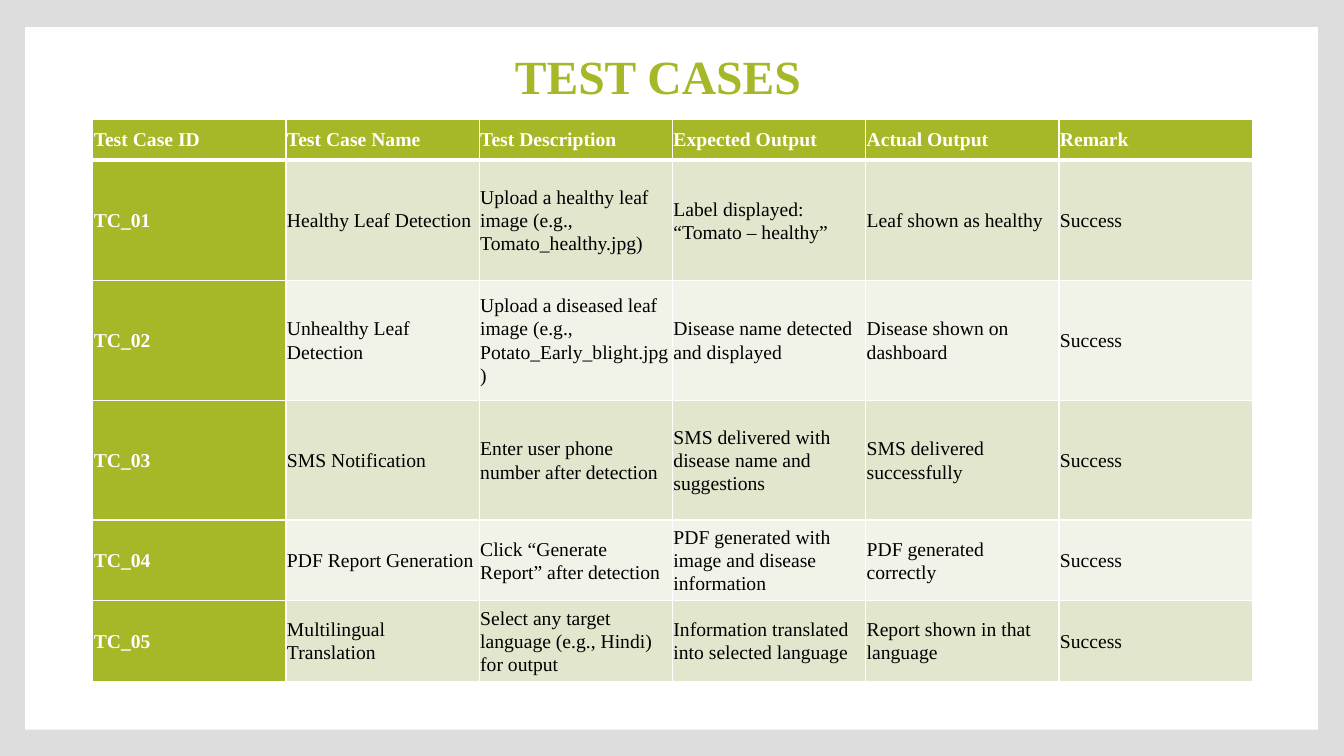
from lxml import etree
from pptx import Presentation
from pptx import util as u
from pptx.dml.color import RGBColor
from pptx.enum import shapes, text
from pptx.oxml.ns import qn

COLORS = {
    "backdrop": "DDDDDD",
    "panel": "FFFFFF",
    "accent": "A6B727",
    "band_dark": "E1E6CD",
    "band_light": "F1F3E8",
    "light_text": "FFFFFF",
    "dark_text": "000000",
    "grid": "FFFFFF",
}

HEADINGS = ["Test Case ID", "Test Case Name", "Test Description",
            "Expected Output", "Actual Output", "Remark"]
TEST_CASES = [
    ["TC_01", "Healthy Leaf Detection",
     "Upload a healthy leaf image (e.g., Tomato_healthy.jpg)",
     "Label displayed: “Tomato – healthy”", "Leaf shown as healthy", "Success"],
    ["TC_02", "Unhealthy Leaf Detection",
     "Upload a diseased leaf image (e.g., Potato_Early_blight.jpg)",
     "Disease name detected and displayed", "Disease shown on dashboard", "Success"],
    ["TC_03", "SMS Notification", "Enter user phone number after detection",
     "SMS delivered with disease name and suggestions",
     "SMS delivered successfully", "Success"],
    ["TC_04", "PDF Report Generation", "Click “Generate Report” after detection",
     "PDF generated with image and disease information",
     "PDF generated correctly", "Success"],
    ["TC_05", "Multilingual Translation",
     "Select any target language (e.g., Hindi) for output",
     "Information translated into selected language",
     "Report shown in that language", "Success"],
]
ROW_HEIGHTS = [0.41, 1.19, 1.19, 1.19, 0.8, 0.8]


def color(name):
    return RGBColor.from_string(COLORS[name])


class SlideBuilder:
    font_name = "Times New Roman"

    def __init__(self, slide):
        self.slide = slide

    def background(self, fill):
        self.slide.background.fill.solid()
        self.slide.background.fill.fore_color.rgb = color(fill)

    def panel(self, left, top, width, height, fill):
        panel = self.slide.shapes.add_shape(
            shapes.MSO_SHAPE.RECTANGLE, *map(u.Inches, (left, top, width, height)))
        panel.shadow.inherit = False
        panel.fill.solid()
        panel.fill.fore_color.rgb = color(fill)
        panel.line.fill.background()
        self.slide.shapes._spTree.insert(2, panel._element)

    def style(self, paragraph, size, font_color, bold):
        for run in paragraph.runs:
            run.font.name = self.font_name
            run.font.size = u.Pt(size)
            run.font.bold = bold
            run.font.color.rgb = color(font_color)

    def title(self, wording, left, top, width, height):
        title = self.slide.shapes.title
        title.left, title.top, title.width, title.height = map(
            u.Inches, (left, top, width, height))
        frame = title.text_frame
        frame.text = wording
        frame.word_wrap = True
        frame.auto_size = text.MSO_AUTO_SIZE.NONE
        frame.vertical_anchor = text.MSO_ANCHOR.MIDDLE
        frame.paragraphs[0].alignment = text.PP_ALIGN.CENTER
        self.style(frame.paragraphs[0], 34, "accent", True)

    def border(self, cell, side, width):
        line = etree.SubElement(cell._tc.get_or_add_tcPr(), qn(f"a:ln{side}"),
                                w=str(u.Pt(width)))
        fill = etree.SubElement(line, qn("a:solidFill"))
        etree.SubElement(fill, qn("a:srgbClr"), val=COLORS["grid"])

    def cell(self, cell, wording, fill, font_color, bold, top_line, bottom_line):
        cell.text = wording
        cell.vertical_anchor = text.MSO_ANCHOR.MIDDLE
        cell.margin_left = cell.margin_right = u.Inches(0.01)
        cell.margin_top = cell.margin_bottom = u.Inches(0.01)
        for side, width in zip("LRTB", (1, 1, top_line, bottom_line)):
            self.border(cell, side, width)
        cell.fill.solid()
        cell.fill.fore_color.rgb = color(fill)
        paragraph = cell.text_frame.paragraphs[0]
        paragraph.line_spacing = 1.07
        self.style(paragraph, 14, font_color, bold)

    def table(self, rows, row_heights, left, top, width):
        table = self.slide.shapes.add_table(
            len(rows), len(rows[0]), u.Inches(left), u.Inches(top),
            u.Inches(width), u.Inches(sum(row_heights))).table
        table.first_col = True
        for row, height in zip(table.rows, row_heights):
            row.height = u.Inches(height)
        for r, row in enumerate(rows):
            band = "band_dark" if r % 2 else "band_light"
            for c, wording in enumerate(row):
                heading = r == 0 or c == 0
                self.cell(table.cell(r, c), wording,
                          fill="accent" if heading else band,
                          font_color="light_text" if heading else "dark_text",
                          bold=heading,
                          top_line=3 if r == 1 else 1,
                          bottom_line=3 if r == 0 else 1)


def main():
    deck = Presentation()
    deck.slide_width, deck.slide_height = u.Inches(13.33), u.Inches(7.5)
    builder = SlideBuilder(deck.slides.add_slide(deck.slide_layouts[5]))
    builder.background("backdrop")
    builder.panel(0.25, 0.27, 12.82, 6.97, "panel")
    builder.title("TEST CASES", 3.64, 0.41, 5.77, 0.67)
    builder.table([HEADINGS] + TEST_CASES, ROW_HEIGHTS, 0.92, 1.18, 11.5)
    deck.save("out.pptx")


if __name__ == "__main__":
    main()
